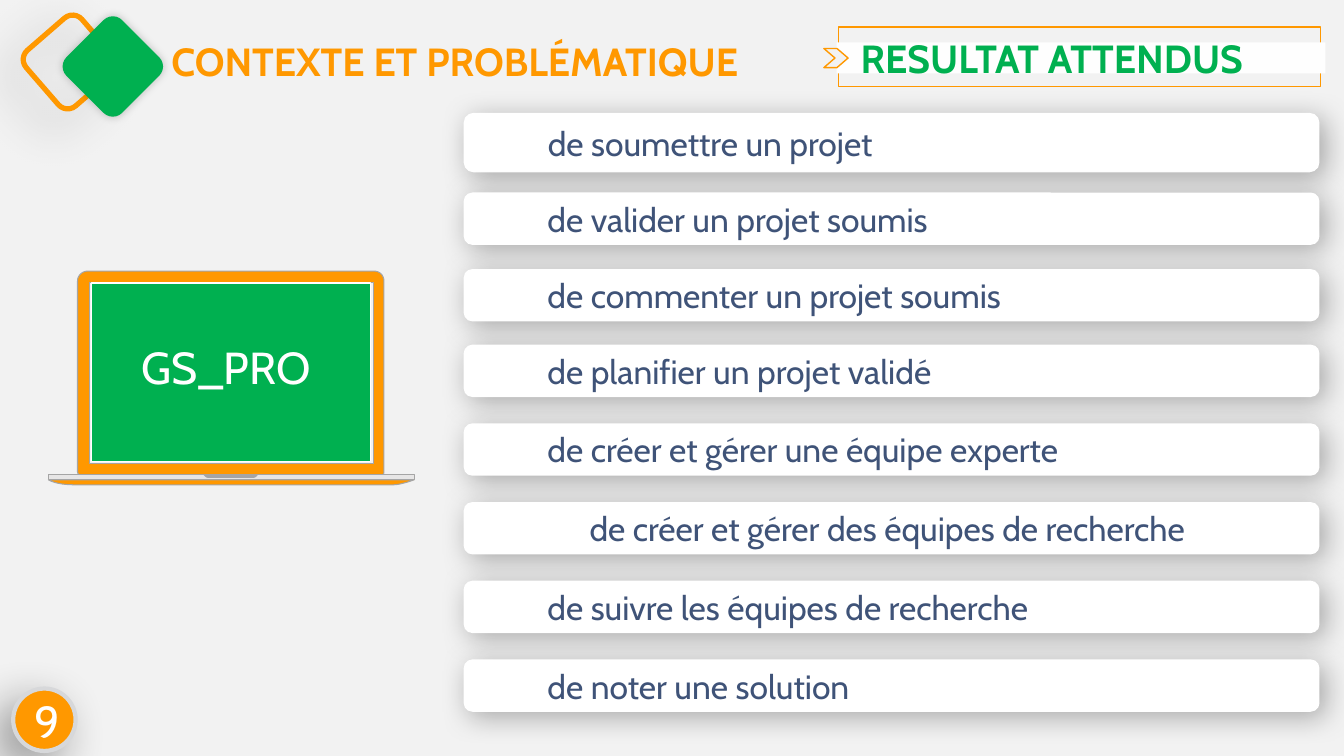
import pptx
import pptx.util
import pptx.dml.color
import pptx.enum.shapes
import pptx.enum.text
import lxml.etree

Pt = pptx.util.Pt
RGBColor = pptx.dml.color.RGBColor
SHAPE = pptx.enum.shapes.MSO_SHAPE
ANCHOR = pptx.enum.text.MSO_ANCHOR
ALIGN = pptx.enum.text.PP_ALIGN
A = "{http://schemas.openxmlformats.org/drawingml/2006/main}"

ORANGE = RGBColor(0xFF, 0x98, 0x00)
GREEN = RGBColor(0x00, 0xB0, 0x50)
WHITE = RGBColor(0xFF, 0xFF, 0xFF)
NEAR_WHITE = RGBColor(0xFE, 0xFE, 0xFE)
PALE = RGBColor(0xF2, 0xF2, 0xF2)
SILVER = RGBColor(0xE7, 0xE6, 0xE6)
RING = RGBColor(0xD7, 0xD8, 0xDA)
GRAY = RGBColor(0xA5, 0xA5, 0xA5)
NAVY = RGBColor(0x3F, 0x53, 0x78)


def paint(s, fill=None, line=None, width=1, shadow=None):
    s.shadow.inherit = False
    if fill is None:
        s.fill.background()
    else:
        s.fill.solid()
        s.fill.fore_color.rgb = fill
    if line is None:
        s.line.fill.background()
    else:
        s.line.color.rgb = line
        s.line.width = Pt(width)
    if shadow:
        alpha, blur, dist, angle = shadow
        effects = s._element.spPr.find(A + "effectLst")
        outer = lxml.etree.SubElement(
            effects, A + "outerShdw", blurRad=str(Pt(blur)), dist=str(Pt(dist)),
            dir=str(angle * 60000), algn="ctr", rotWithShape="0")
        color = lxml.etree.SubElement(outer, A + "srgbClr", val="000000")
        lxml.etree.SubElement(color, A + "alpha", val=str(alpha * 1000))


def write(s, text, size, color, bold=False, align=ALIGN.LEFT):
    tf = s.text_frame
    tf.word_wrap = True
    tf.text = text
    p = tf.paragraphs[0]
    p.alignment = align
    r = p.runs[0]
    r.font.name = "Cabin"
    r.font.size = Pt(size)
    r.font.bold = bold
    r.font.color.rgb = color


prs = pptx.Presentation()
prs.slide_width = Pt(960)
prs.slide_height = Pt(540)
slide = prs.slides.add_slide(prs.slide_layouts[5])
slide.background.fill.solid()
slide.background.fill.fore_color.rgb = PALE
shapes = slide.shapes

for left, top, size, angle, fill, line, shadow in [
    (23.8, 18, 52.6, 49.1, None, ORANGE, (40, 35, 15, 135)),
    (52.5, 19.4, 56.2, 45, GREEN, None, (20, 6, 0, 225)),
]:
    s = shapes.add_shape(SHAPE.ROUNDED_RECTANGLE, Pt(left), Pt(top), Pt(size), Pt(size))
    s.rotation = angle
    paint(s, fill, line, 3.75, shadow)

title = shapes.title
title.left, title.top, title.width, title.height = Pt(115.2), Pt(23), Pt(584.6), Pt(41)
write(title, "CONTEXTE ET PROBLÉMATIQUE", 28, ORANGE, True)
title.text_frame.auto_size = pptx.enum.text.MSO_AUTO_SIZE.NONE
title.text_frame.vertical_anchor = ANCHOR.TOP

for kind, left, top, width, height, fill, line in [
    (SHAPE.RECTANGLE, 599, 19.4, 344.2, 42.5, None, ORANGE),
    (SHAPE.RECTANGLE, 597.6, 30.2, 349.2, 22.3, NEAR_WHITE, None),
    (SHAPE.CHEVRON, 588.5, 34.6, 17.3, 13.7, PALE, ORANGE),
]:
    s = shapes.add_shape(kind, Pt(left), Pt(top), Pt(width), Pt(height))
    paint(s, fill, line)
s.adjustments[0] = 0.58

cards = [
    (80.6, 42.5, "de soumettre un projet"),
    (137.5, 37.4, "de valider un projet soumis"),
    (192.2, 37.4, "de commenter un projet soumis"),
]
cards += [(246.2 + 56.2 * i, 37.4, text) for i, text in enumerate([
    "de planifier un projet validé",
    "de créer et gérer une équipe experte",
    "de créer et gérer des équipes de recherche",
    "de suivre les équipes de recherche",
    "de noter une solution",
])]
for top, height, text in cards:
    s = shapes.add_shape(SHAPE.ROUNDED_RECTANGLE, Pt(331.2), Pt(top), Pt(611.3), Pt(height))
    paint(s, WHITE, shadow=(30, 20, 5, 45))
    centred = "des équipes" in text
    write(s, text, 24, NAVY, align=ALIGN.CENTER if centred else ALIGN.LEFT)
    tf = s.text_frame
    tf.vertical_anchor = ANCHOR.MIDDLE
    tf.margin_left = Pt(0 if centred else 58)
    tf.margin_right = Pt(6 if centred else 0)
    tf.margin_top = tf.margin_bottom = 0

lid = [(267.1, 193.7), (62.6, 193.7), (59, 193.7, 55.4, 196.6, 55.4, 200.9),
       (55.4, 337), (55.4, 338.4, 56.9, 339.8, 58.3, 339.8), (272.2, 339.8),
       (273.6, 339.8, 274.3, 338.4, 274.3, 337), (274.3, 200.9),
       (274.3, 196.6, 271.4, 193.7, 267.1, 193.7)]
opening = [(267.1, 331.2), (64.1, 331.2), (64.1, 201.6), (267.1, 201.6)]
base = [(34.6, 342.7), (34.6, 342.7, 39.6, 346.3, 53.3, 346.3), (280.8, 346.3),
        (286.6, 346.3, 295.9, 342.7, 295.9, 342.7)]
deck = [(34.6, 342.7), (295.9, 342.7), (295.9, 339.1), (34.6, 339.1)]
notch = [(145.4, 339.1), (145.4, 339.1, 146.9, 341.3, 148.3, 341.3), (181.4, 341.3),
         (182.9, 341.3, 184.3, 339.1, 184.3, 339.1)]
for contours, fill, line in [
    ([lid, opening], ORANGE, GRAY),
    ([base], ORANGE, GRAY),
    ([deck], SILVER, GRAY),
    ([notch], GRAY, None),
]:
    x, y = contours[0][0]
    builder = shapes.build_freeform(Pt(x), Pt(y))
    for contour in contours:
        points = [contour[0]]
        for segment in contour[1:]:
            if len(segment) == 2:
                points.append(segment)
                continue
            x0, y0 = points[-1]
            x1, y1, x2, y2, x3, y3 = segment
            for t in [i / 8 for i in range(1, 9)]:
                u = 1 - t
                weights = (u ** 3, 3 * u * u * t, 3 * u * t * t, t ** 3)
                points.append((sum(w * x for w, x in zip(weights, (x0, x1, x2, x3))),
                               sum(w * y for w, y in zip(weights, (y0, y1, y2, y3)))))
        points = [(Pt(x), Pt(y)) for x, y in points]
        if contour is not contours[0]:
            builder.move_to(*points[0])
        builder.add_line_segments(points[1:], close=True)
    paint(builder.convert_to_shape(), fill, line, 0.75)

screen = shapes.add_shape(SHAPE.RECTANGLE, Pt(65.5), Pt(202.3), Pt(199.4), Pt(127.4))
paint(screen, GREEN, WHITE)
badge = shapes.add_shape(SHAPE.OVAL, Pt(9.4), Pt(491.8), Pt(44.6), Pt(44.6))
badge.rotation = 158
paint(badge, ORANGE, RING, 3, (40, 35, 15, 135))

for left, top, width, height, text, size, color, bold, align in [
    (607.7, 20.9, 339.1, 41, "RESULTAT ATTENDUS", 28, GREEN, True, ALIGN.LEFT),
    (93.6, 239, 136.1, 46.1, "GS_PRO", 32, WHITE, False, ALIGN.CENTER),
    (17.3, 491.8, 34.6, 46.1, "9", 32, WHITE, False, ALIGN.LEFT),
]:
    s = shapes.add_textbox(Pt(left), Pt(top), Pt(width), Pt(height))
    write(s, text, size, color, bold, align)

prs.save("out.pptx")
